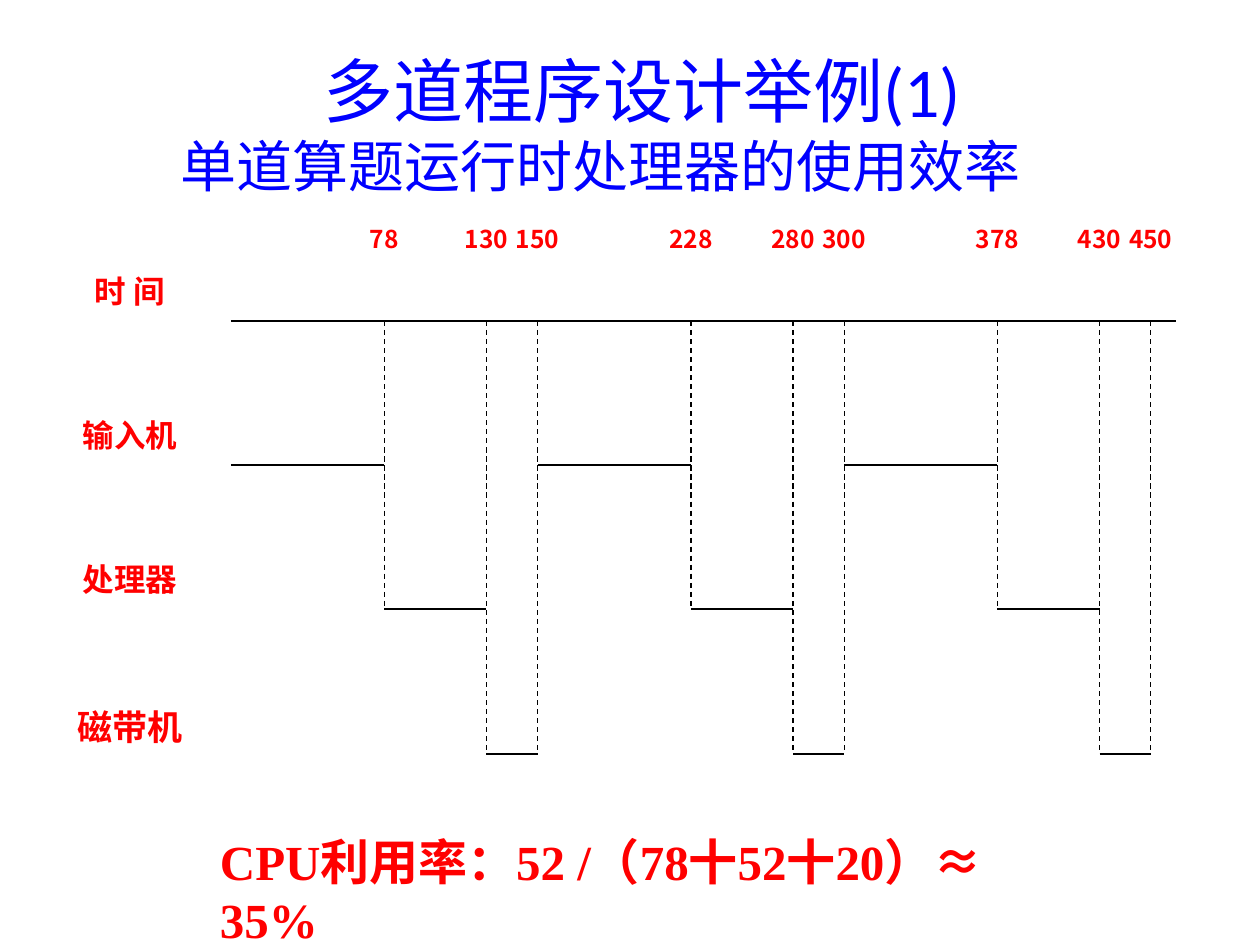
from pptx import Presentation
from pptx.dml.color import RGBColor
from pptx.enum.dml import MSO_LINE
from pptx.enum.shapes import MSO_CONNECTOR
from pptx.enum.text import MSO_ANCHOR, MSO_AUTO_SIZE, PP_ALIGN
from pptx.oxml.ns import qn
from pptx.util import Pt
from lxml import etree

PX = 914400 / 126
STRAIGHT = MSO_CONNECTOR.STRAIGHT
DASH = MSO_LINE.DASH
MIDDLE = MSO_ANCHOR.MIDDLE
CENTER, LEFT = PP_ALIGN.CENTER, PP_ALIGN.LEFT
BLUE, RED, BLACK = (RGBColor.from_string(c) for c in ("0000FF", "FF0000", "000000"))
SANS = "Noto Sans CJK SC"


def add_label(text, x, y, w, h, size):
    tb = s.shapes.add_textbox(*(round(v * PX) for v in (x, y, w, h)))
    tf = tb.text_frame
    tf.word_wrap = True
    tf.margin_left = tf.margin_right = tf.margin_top = tf.margin_bottom = 0
    p = tf.paragraphs[0]
    p.text = text
    p.alignment = CENTER
    p.font.size, p.font.name, p.font.bold = Pt(size), SANS, True
    p.font.color.rgb = RED
    return tb


def add_line(x1, y1, x2, y2, width, dash=None):
    line = s.shapes.add_connector(STRAIGHT, *(round(v * PX) for v in (x1, y1, x2, y2)))
    line.line.color.rgb = BLACK
    line.line.width = Pt(width)
    if dash:
        line.line.dash_style = dash
    etree.SubElement(line._element.spPr, qn("a:effectLst"))


prs = Presentation()
prs.slide_width, prs.slide_height = round(1260 * PX), round(945 * PX)
s = prs.slides.add_slide(prs.slide_layouts[5])

# Title: the first line is indented, the second starts at the margin
title = s.shapes.title
title.left, title.top, title.width, title.height = (
    round(v * PX) for v in (168, 65, 1092, 182))
tf = title.text_frame
tf.auto_size = MSO_AUTO_SIZE.NONE
tf.vertical_anchor = MIDDLE
tf.margin_bottom = round(73 * PX)
tf.text = "多道程序设计举例(1)\n单道算题运行时处理器的使用效率"
for p, size, indent in zip(tf.paragraphs, (40, 32), (143, 0)):
    p._p.get_or_add_pPr().set("indent", str(round(indent * PX)))
    p.alignment = LEFT
    p.font.size, p.font.name = Pt(size), "Calibri"
    p.font.color.rgb = BLUE

# Rows: time axis, input, processor, tape
LEFT_X, UNIT = 231, 51.1
rows = [321, 465, 609, 754]
names = [("时 间", 18), ("输入机", 18), ("处理器", 18), ("磁带机", 20)]
for (name, size), y in zip(names, rows):
    add_label(name, 53, y - 49, 154, 96, size)
axis_y, input_y, cpu_y, tape_y = rows
add_line(LEFT_X, axis_y, LEFT_X + 18.5 * UNIT, axis_y, 1.5)

# Three identical job cycles, each six column units wide
for cycle in range(3):
    start, read, computed, end = (LEFT_X + (6 * cycle + n) * UNIT for n in (0, 3, 5, 6))
    add_line(start, input_y, read, input_y, 1.5)
    add_line(read, cpu_y, computed, cpu_y, 1.5)
    add_line(computed, tape_y, end, tape_y, 1.5)
    for x, bottom, time in ((read, cpu_y, 78), (computed, tape_y, 130), (end, tape_y, 150)):
        add_line(x, axis_y, x, bottom, 0.75, DASH)
        add_label(str(time + 150 * cycle), x - 26, 224, 52, 96, 14)

# Processor utilisation
tb = add_label("CPU利用率：52 /（78十52十20）≈ 35%", 207, 825, 893, 72, 28)
tf = tb.text_frame
tf.margin_left = tf.margin_right = round(13 * PX)
tf.margin_top = tf.margin_bottom = round(6 * PX)
p = tf.paragraphs[0]
p.alignment = LEFT
p.font.name = "Times New Roman"

prs.save("out.pptx")
